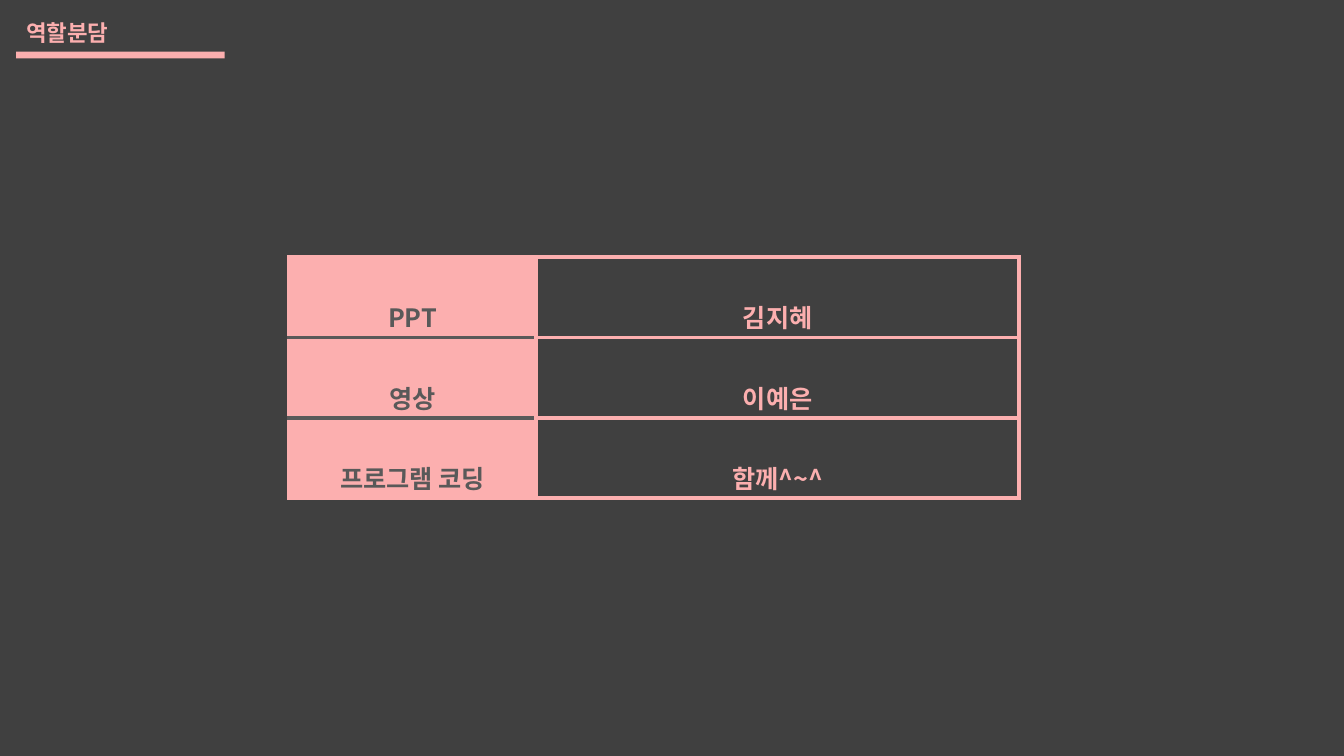
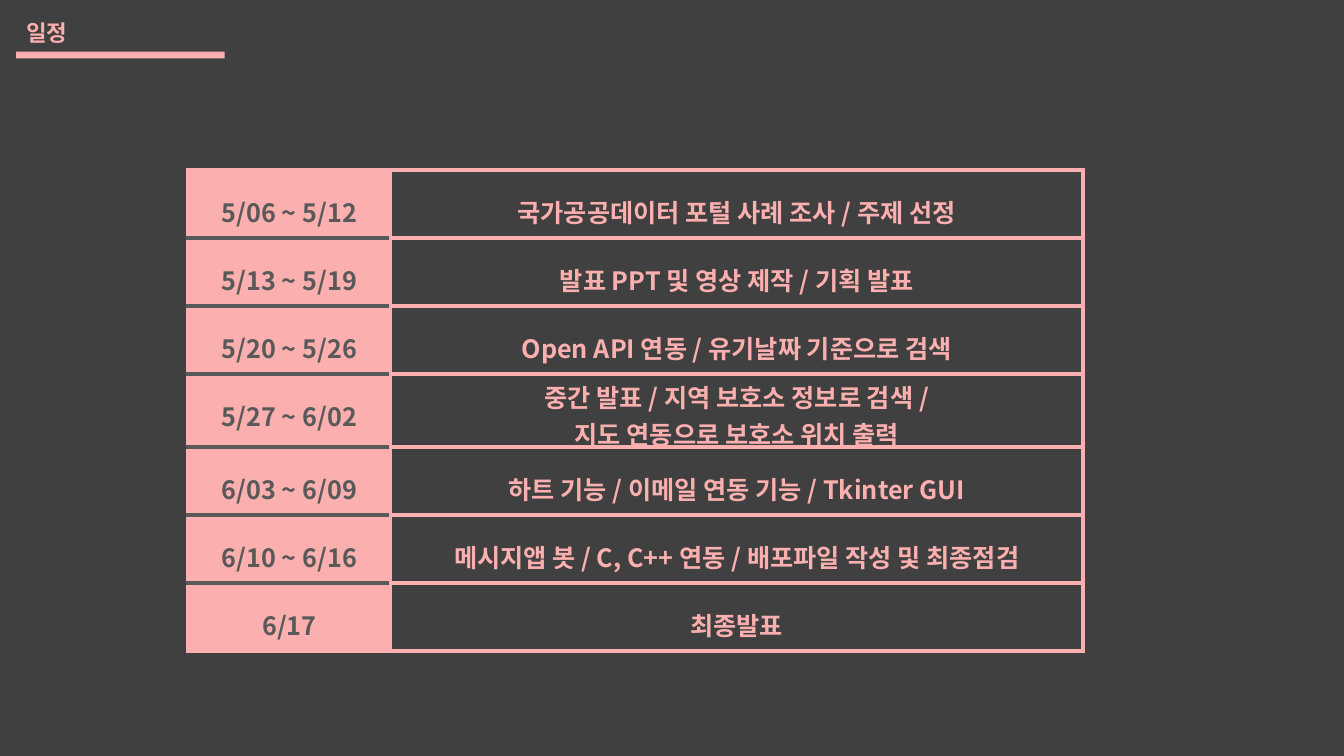
from lxml import etree
from pptx import Presentation
from pptx import util as u
from pptx.dml.color import RGBColor
from pptx.enum import shapes, text
from pptx.oxml import ns

COLORS = {"background": "404040", "pink": "FCAFAF", "gray": "595959"}
FONT = "Noto Sans CJK KR"
TITLE_FORMAT = {"name": FONT, "size": u.Pt(16), "bold": True}
CELL_FORMAT = {"name": FONT, "size": u.Pt(18), "bold": True}
TITLE_BOX = {"left": u.Pt(11.5), "top": u.Pt(10), "width": u.Pt(165.6), "height": u.Pt(26.6)}
TITLE_FRAME = {"word_wrap": True, "vertical_anchor": text.MSO_ANCHOR.TOP,
               "auto_size": text.MSO_AUTO_SIZE.SHAPE_TO_FIT_TEXT}
BAND_BOX = [u.Pt(value) for value in (11.5, 36.9, 149, 4.8)]
BORDER_WIDTH = u.Pt(3)

ROLES = [
    ("PPT", "김지혜"),
    ("영상", "이예은"),
    ("프로그램 코딩", "함께^~^"),
]
SCHEDULE = [
    ("5/06 ~ 5/12", "국가공공데이터 포털 사례 조사 / 주제 선정"),
    ("5/13 ~ 5/19", "발표 PPT 및 영상 제작 / 기획 발표"),
    ("5/20 ~ 5/26", "Open API 연동 / 유기날짜 기준으로 검색"),
    ("5/27 ~ 6/02", "중간 발표 / 지역 보호소 정보로 검색 /\n지도 연동으로 보호소 위치 출력"),
    ("6/03 ~ 6/09", "하트 기능 / 이메일 연동 기능 / Tkinter GUI"),
    ("6/10 ~ 6/16", "메시지앱 봇 / C, C++ 연동 / 배포파일 작성 및 최종점검"),
    ("6/17", "최종발표"),
]


def rgb(color):
    return RGBColor.from_string(COLORS[color])


def apply(target, values):
    for name, value in values.items():
        setattr(target, name, value)


def format_paragraph(paragraph, font_format, color):
    for run in paragraph.runs:
        apply(run.font, font_format)
        run.font.color.rgb = rgb(color)
        # Korean glyphs take the East Asian typeface
        east_asian = etree.SubElement(run.font._element, ns.qn("a:ea"))
        east_asian.set("typeface", FONT)


def set_borders(cell, colors):
    """Draw the borders; colors runs left, right, top, bottom."""
    properties = cell._tc.get_or_add_tcPr()
    for side, color in zip("LRTB", colors):
        line = etree.SubElement(properties, ns.qn(f"a:ln{side}"), w=str(int(BORDER_WIDTH)))
        fill = etree.SubElement(line, ns.qn("a:solidFill"))
        etree.SubElement(fill, ns.qn("a:srgbClr"), val=COLORS[color])


def fill_cell(cell, content, color, line_spacing):
    cell.text = content
    paragraphs = cell.text_frame.paragraphs
    for paragraph in paragraphs:
        paragraph.alignment = text.PP_ALIGN.CENTER
        # Two lines in one cell stay single-spaced
        if len(paragraphs) == 1:
            paragraph.line_spacing = line_spacing
        format_paragraph(paragraph, CELL_FORMAT, color)


def add_label_table(slide, rows, left, top, column_widths, row_heights, line_spacing):
    """Add a table with a pink label column and an unfilled content column."""
    frame = slide.shapes.add_table(len(rows), len(column_widths), u.Pt(left), u.Pt(top),
                                   u.Pt(sum(column_widths)), u.Pt(sum(row_heights)))
    table = frame.table
    apply(table, {"first_row": False, "horz_banding": False})
    for column, width in zip(table.columns, column_widths):
        column.width = u.Pt(width)
    for index, (label, content) in enumerate(rows):
        table.rows[index].height = u.Pt(row_heights[index])
        label_cell, content_cell = table.rows[index].cells
        # Gray rules separate the labels; the outline stays pink
        above = "pink" if index == 0 else "gray"
        below = "pink" if index == len(rows) - 1 else "gray"
        set_borders(label_cell, ["pink", "pink", above, below])
        label_cell.fill.solid()
        label_cell.fill.fore_color.rgb = rgb("pink")
        fill_cell(label_cell, label, "gray", line_spacing)
        set_borders(content_cell, ["pink"] * 4)
        content_cell.fill.background()
        fill_cell(content_cell, content, "pink", line_spacing)


def set_up_layout(presentation):
    """Set the shared background and title position."""
    background = presentation.slide_master.background.fill
    background.solid()
    background.fore_color.rgb = rgb("background")
    layout = presentation.slide_layouts.get_by_name("Title Only")
    apply(layout.placeholders[0], TITLE_BOX)
    return layout


def add_titled_slide(presentation, layout, title):
    slide = presentation.slides.add_slide(layout)
    frame = slide.shapes.title.text_frame
    frame.text = title
    apply(frame, TITLE_FRAME)
    paragraph = frame.paragraphs[0]
    paragraph.alignment = text.PP_ALIGN.LEFT
    format_paragraph(paragraph, TITLE_FORMAT, "pink")
    # Band under the title
    band = slide.shapes.add_shape(shapes.MSO_SHAPE.RECTANGLE, *BAND_BOX)
    band.shadow.inherit = False
    band.fill.solid()
    band.fill.fore_color.rgb = rgb("pink")
    band.line.fill.background()
    return slide


def main():
    presentation = Presentation()
    apply(presentation, {"slide_width": u.Pt(960), "slide_height": u.Pt(540)})
    layout = set_up_layout(presentation)

    # Roles
    slide = add_titled_slide(presentation, layout, "역할분담")
    add_label_table(slide, ROLES, 206.5, 183.5, [176.5, 345], [57.5] * 3, 2.0)

    # Schedule: the two-line row is taller
    slide = add_titled_slide(presentation, layout, "일정")
    heights = [52.5 if "\n" in content else 48.5 for _, content in SCHEDULE]
    add_label_table(slide, SCHEDULE, 134.5, 121.5, [144.5, 494.5], heights, 1.5)

    presentation.save("out.pptx")


if __name__ == "__main__":
    main()
